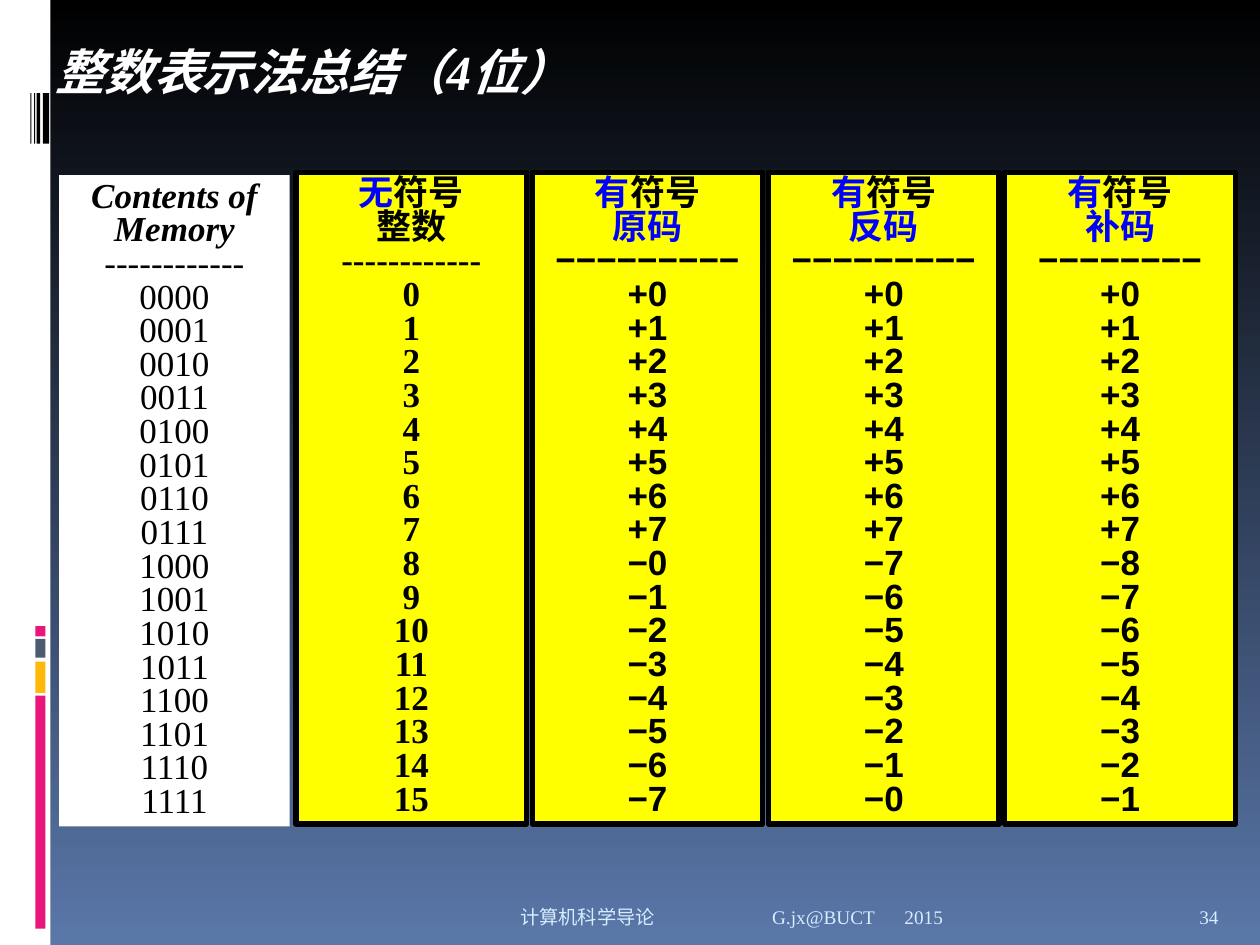
from typing import NamedTuple, Optional

from lxml import etree
from pptx import Presentation
from pptx.dml.color import RGBColor
from pptx.enum.lang import MSO_LANGUAGE_ID as Lang
from pptx.enum.shapes import MSO_SHAPE as Preset
from pptx.enum.text import MSO_ANCHOR as Anchor, MSO_AUTO_SIZE as AutoSize, PP_ALIGN as Align
from pptx.oxml.ns import qn
from pptx.util import Inches, Pt

SERIF, SANS = "Times New Roman", "Arial"
WHITE, BLACK, BLUE, YELLOW = "FFFFFF", "000000", "0000FF", "FFFF00"
PINK, AMBER, SLATE, PALE = "EA157A", "FEB80A", "4E5B6F", "D6ECFF"


class Box(NamedTuple):
    left: float
    top: float
    width: float
    height: float


class Span(NamedTuple):
    text: str
    color: str = BLACK
    bold: bool = True
    italic: bool = False


class Bar(NamedTuple):
    box: Box
    color: str


class Column(NamedTuple):
    heading: list[list[Span]]
    values: list[str]
    font: str = SANS


def rgb(color: str) -> RGBColor:
    return RGBColor.from_string(color)


def write(shape, paragraphs: list[list[Span]], *, size: float, font: str = SERIF,
          align: Align = Align.LEFT, anchor: Anchor = Anchor.TOP, spacing: Optional[float] = None,
          tab: Optional[float] = None, wrap: bool = True, grow: bool = False) -> None:
    """Fill a shape with paragraphs; a newline in a span is a line break."""
    frame = shape.text_frame
    frame.word_wrap = wrap
    frame.vertical_anchor = anchor
    frame.auto_size = AutoSize.SHAPE_TO_FIT_TEXT if grow else AutoSize.NONE
    for index, spans in enumerate(paragraphs):
        paragraph = frame.add_paragraph() if index else frame.paragraphs[0]
        paragraph.alignment = align
        if spacing:
            paragraph.line_spacing = spacing
        if tab:
            stops = etree.SubElement(paragraph._p.get_or_add_pPr(), qn("a:tabLst"))
            etree.SubElement(stops, qn("a:tab"), pos=str(Inches(tab)), algn="l")
        for span in spans:
            for number, line in enumerate(span.text.split("\n")):
                if number:
                    paragraph.add_line_break()
                if not line:
                    continue
                run = paragraph.add_run()
                run.text = line
                run.font.name, run.font.size = font, Pt(size)
                run.font.bold, run.font.italic = span.bold, span.italic
                run.font.color.rgb = rgb(span.color)
                run.font.language_id = Lang.SIMPLIFIED_CHINESE


def add_rectangle(slide, box: Box, fill: str, outline: Optional[str] = None):
    rectangle = slide.shapes.add_shape(Preset.RECTANGLE, *map(Inches, box))
    rectangle.shadow.inherit = False
    rectangle.fill.solid()
    rectangle.fill.fore_color.rgb = rgb(fill)
    if outline:
        rectangle.line.color.rgb = rgb(outline)
        rectangle.line.width = Pt(3)
    else:
        rectangle.line.fill.background()
    return rectangle


def add_text(slide, box: Box, span: Span, **layout) -> None:
    write(slide.shapes.add_textbox(*map(Inches, box)), [[span]], **layout)


def add_column(slide, box: Box, column: Column, fill: str, outline: Optional[str] = None,
               bold: bool = True) -> None:
    rows = [[Span(value, bold=bold)] for value in column.values]
    write(add_rectangle(slide, box, fill, outline), column.heading + rows, size=20,
          font=column.font, align=Align.CENTER, spacing=0.8, grow=True)


def signed_column(name: str, negatives: list[int], dashes: int) -> Column:
    heading = [[Span("有", BLUE), Span("符号")], [Span(name, BLUE)], [Span("−" * dashes)]]
    return Column(heading, [f"+{n}" for n in range(8)] + [f"−{n}" for n in negatives])


deck = Presentation()
deck.slide_width, deck.slide_height = Inches(10), Inches(7.5)
slide = deck.slides.add_slide(deck.slide_layouts[6])

# Background
backdrop = slide.background.fill
backdrop.gradient()
backdrop.gradient_angle = 270
for stop, color, position in zip(backdrop.gradient_stops, (BLACK, "5A77A9"), (0, 1)):
    stop.color.rgb = rgb(color)
    stop.position = position

# Left margin with its coloured bars and stripes
margin = [Bar(Box(0, 0, 0.4, 7.5), WHITE)]
margin += [Bar(Box(0.28, top, 0.08, height), color) for top, height, color in (
    (5.52, 1.85, PINK), (5.25, 0.25, AMBER), (5.07, 0.15, SLATE), (4.97, 0.08, PINK))]
margin += [Bar(Box(left, 0.74, width, 0.4), BLACK) for left, width in (
    (0.34, 0.05), (0.29, 0.03), (0.27, 0.01), (0.24, 0.01))]
for bar in margin:
    add_rectangle(slide, bar.box, bar.color)

# Footer
for box, words, align in (
    (Box(7.08, 7.02, 2.33, 0.4), "2015", Align.LEFT),
    (Box(1, 7.02, 6.08, 0.4), "计算机科学导论\tG.jx@BUCT ", Align.RIGHT),
    (Box(9.42, 7.02, 0.5, 0.4), "34", Align.LEFT),
):
    add_text(slide, box, Span(words, PALE, bold=False), size=11, align=align,
             anchor=Anchor.BOTTOM, tab=2)

# Title
add_text(slide, Box(0.34, 0.28, 4.46, 0.57), Span("整数表示法总结（4位）", WHITE, italic=True),
         size=28, wrap=False, grow=True)

# Memory patterns
memory = Column([[Span("Contents of Memory\n", italic=True), Span("-" * 12, bold=False)]],
                [f"{n:04b}" for n in range(16)], SERIF)
add_column(slide, Box(0.47, 1.39, 1.83, 5.17), memory, WHITE, bold=False)

# Their values in each representation
unsigned = Column([[Span("无", BLUE), Span("符号")], [Span("整数\n" + "-" * 12)]],
                  [str(n) for n in range(16)], SERIF)
representations = [
    unsigned,
    signed_column("原码", list(range(8)), 9),
    signed_column("反码", list(range(7, -1, -1)), 9),
    signed_column("补码", list(range(8, 0, -1)), 8),
]
COLUMN_STEP = 1.875
for place, column in enumerate(representations):
    add_column(slide, Box(2.35 + place * COLUMN_STEP, 1.37, 1.83, 5.17), column, YELLOW, BLACK)

deck.save("out.pptx")
